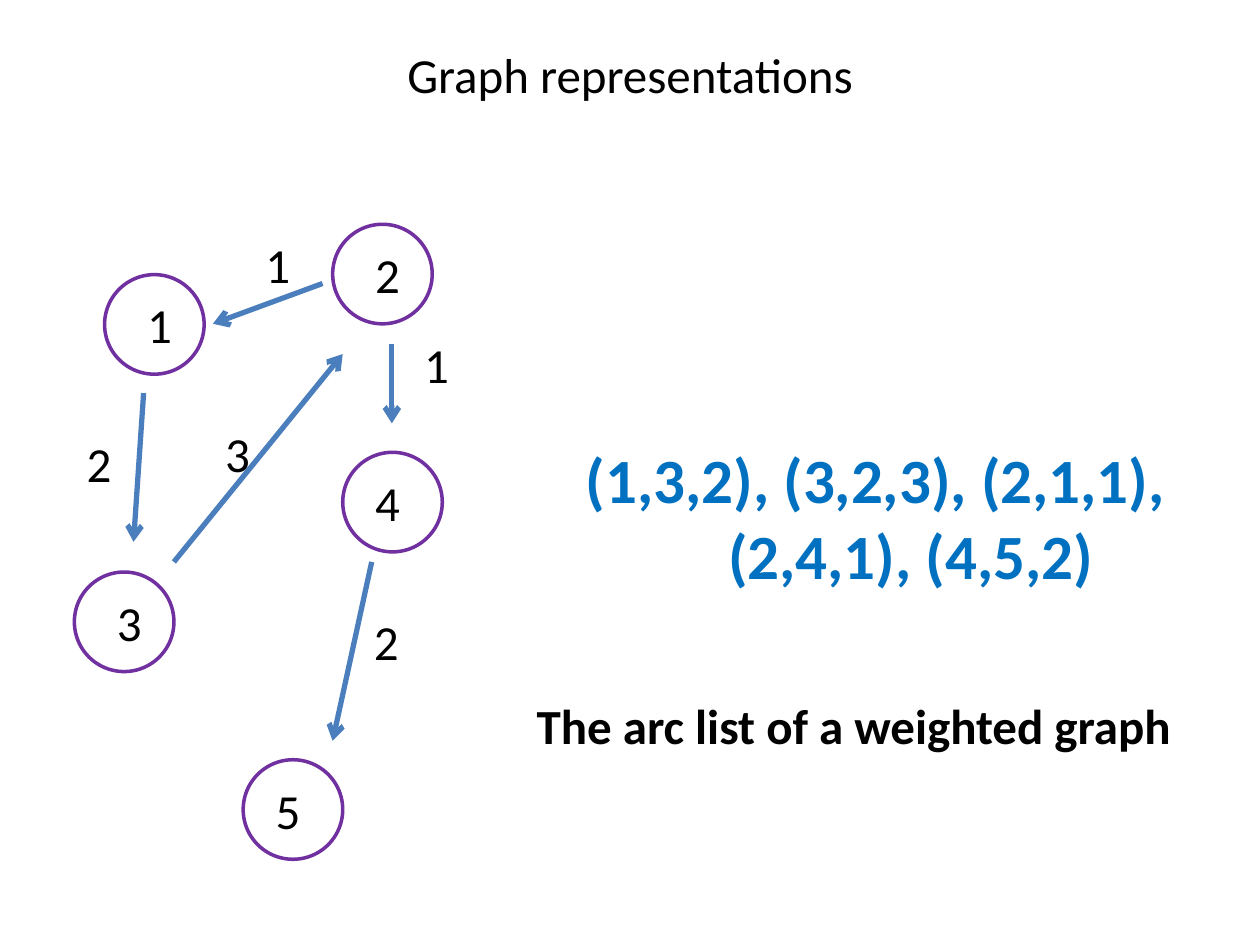
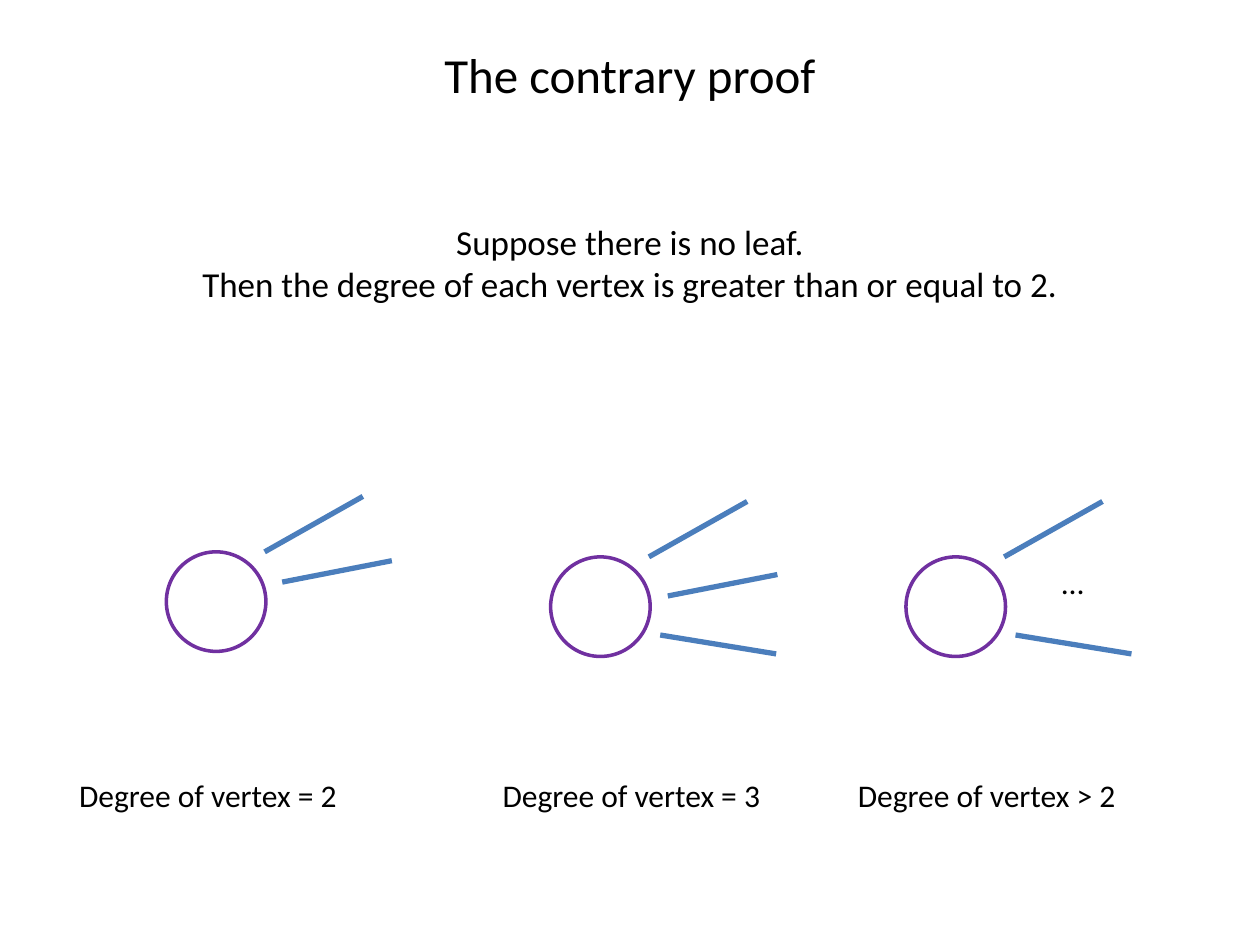
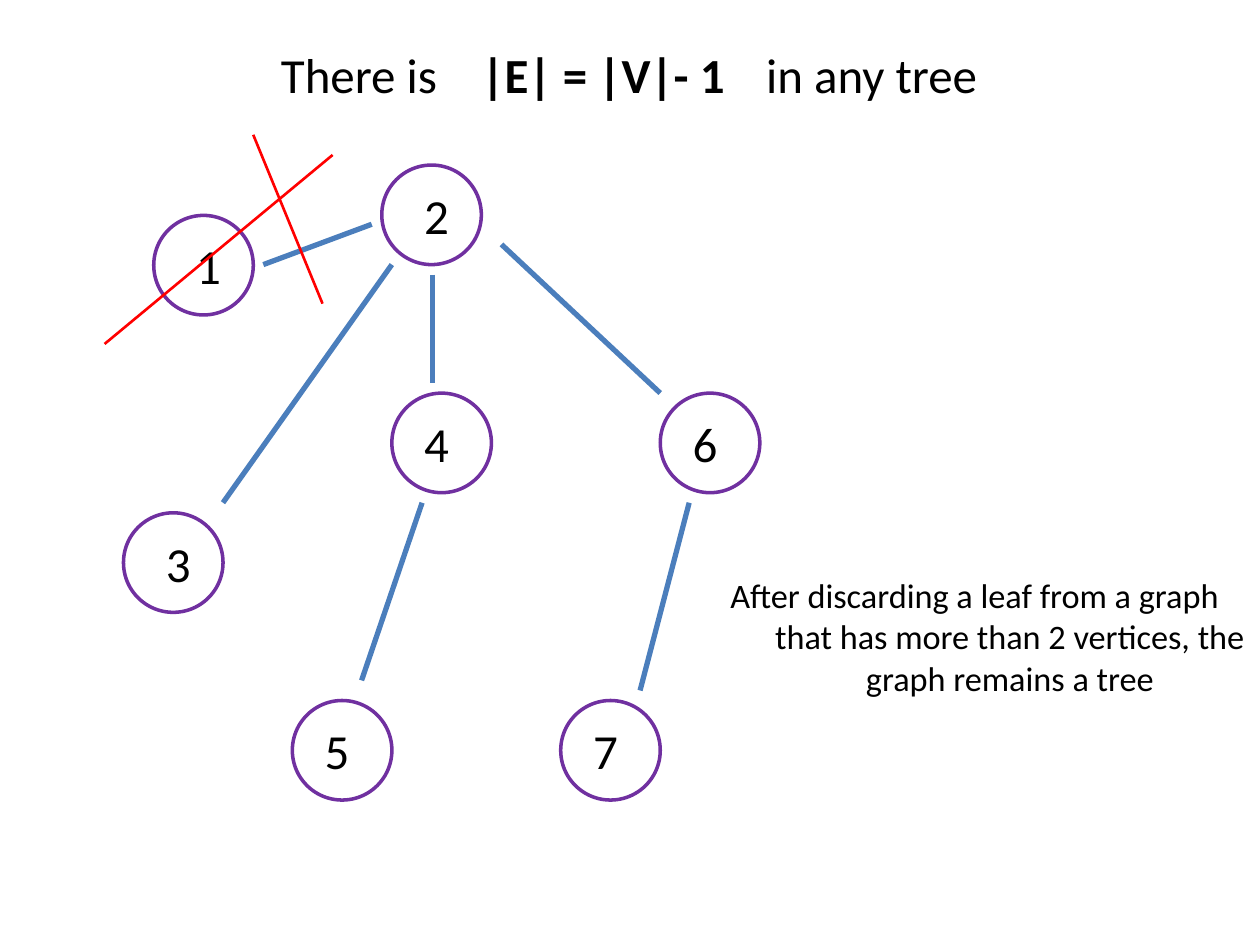
from dataclasses import dataclass
from typing import NamedTuple

from lxml.etree import SubElement
from pptx import Presentation
from pptx.dml.color import RGBColor
from pptx.enum.shapes import MSO_CONNECTOR, MSO_SHAPE
from pptx.enum.text import MSO_ANCHOR, MSO_AUTO_SIZE, PP_ALIGN
from pptx.oxml.ns import qn
from pptx.shapes.base import BaseShape
from pptx.slide import Slide
from pptx.text.text import TextFrame
from pptx.util import Inches, Pt


@dataclass(frozen=True)
class Theme:
    font: str = "Calibri"
    ink: str = "000000"
    paper: str = "FFFFFF"
    ring: str = "7030A0"
    edge: str = "4B7EBC"
    accent: str = "0070C0"
    strike: str = "FF0000"
    title_size: float = 28
    arcs_size: float = 36
    text_size: float = 20
    remark_size: float = 19.6
    caption_size: float = 18
    ring_width: float = 2
    edge_width: float = 3
    strike_width: float = 1.5


THEME = Theme()
DIAMETER = 0.79
HANGING_INDENT = 0.56


class Area(NamedTuple):
    left: float
    top: float
    width: float
    height: float


class Vertex(NamedTuple):
    label: str
    left: float
    top: float
    label_shift: float


class Line(NamedTuple):
    start_x: float
    start_y: float
    end_x: float
    end_y: float

    def moved(self, x: float, y: float) -> "Line":
        return Line(self.start_x + x, self.start_y + y, self.end_x + x, self.end_y + y)


class Weight(NamedTuple):
    label: str
    left: float
    top: float


class Fan(NamedTuple):
    caption: str
    left: float
    top: float
    caption_left: float
    rays: tuple[Line, ...]


TITLE_AREA = Area(0, 0, 10, 1.18)

VERTICES = [
    Vertex("1", 0.83, 2.18, 0.24),
    Vertex("2", 2.64, 1.78, 0.24),
    Vertex("3", 0.59, 4.54, 0.24),
    Vertex("4", 2.72, 3.59, 0.16),
    Vertex("5", 1.93, 6.03, 0.16),
]
ARCS = [
    Line(2.56, 2.25, 1.69, 2.57),
    Line(1.14, 3.12, 1.06, 4.3),
    Line(1.38, 4.46, 2.72, 2.81),
    Line(3.11, 2.73, 3.11, 3.36),
    Line(2.95, 4.46, 2.64, 5.88),
]
WEIGHTS = [
    Weight("1", 2.01, 1.78),
    Weight("3", 1.69, 3.28),
    Weight("2", 0.59, 3.36),
    Weight("1", 3.27, 2.57),
    Weight("2", 2.87, 4.77),
]

TREE_SHIFT = (0.39, -0.47)
TREE_VERTICES = [
    vertex._replace(left=vertex.left + TREE_SHIFT[0], top=vertex.top + TREE_SHIFT[1])
    for vertex in VERTICES
] + [Vertex("6", 5.24, 3.12, 0.16), Vertex("7", 4.45, 5.56, 0.16)]
TREE_EDGES = [
    Line(2.95, 1.78, 2.09, 2.1),
    Line(1.77, 3.99, 3.11, 2.1),
    Line(3.43, 2.18, 3.43, 3.04),
    Line(3.35, 3.99, 2.87, 5.4),
    Line(5.47, 3.99, 5.08, 5.48),
    Line(3.98, 1.94, 5.24, 3.12),
]
STRIKES = [Line(2.01, 1.07, 2.56, 2.41), Line(2.64, 1.23, 0.83, 2.73)]

UPPER_RAY = Line(0.78, 0, 1.56, -0.44)
MIDDLE_RAY = Line(0.93, 0.31, 1.8, 0.14)
LOWER_RAY = Line(0.87, 0.62, 1.79, 0.77)
FANS = [
    Fan("Degree of vertex = 2", 1.32, 4.38, 0.53, (UPPER_RAY, MIDDLE_RAY.moved(-0.01, -0.07))),
    Fan("Degree of vertex = 3", 4.37, 4.42, 3.89, (UPPER_RAY, MIDDLE_RAY, LOWER_RAY)),
    Fan("Degree of vertex > 2", 7.19, 4.42, 6.71, (UPPER_RAY, LOWER_RAY)),
]


def place(shape: BaseShape, area: Area) -> None:
    shape.left, shape.top, shape.width, shape.height = map(Inches, area)


def format_text(frame: TextFrame, size: float, color: str = THEME.ink, bold: bool = False,
                align: PP_ALIGN = PP_ALIGN.CENTER) -> None:
    for para in frame.paragraphs:
        para.alignment = align
        para.space_before = Pt(0)
        for span in para.runs:
            span.font.name = THEME.font
            span.font.size = Pt(size)
            span.font.bold = bold
            span.font.color.rgb = RGBColor.from_string(color)


def add_page(deck: Presentation, title: str) -> Slide:
    page = deck.slides.add_slide(deck.slide_layouts[1])
    heading = page.shapes.title
    place(heading, TITLE_AREA)
    frame = heading.text_frame
    frame.text = title
    frame.auto_size = MSO_AUTO_SIZE.NONE
    frame.vertical_anchor = MSO_ANCHOR.MIDDLE
    format_text(frame, THEME.title_size)
    return page


def fill_body(page: Slide, text: str, area: Area, size: float, color: str = THEME.ink,
              bold: bool = False, anchor: MSO_ANCHOR = MSO_ANCHOR.MIDDLE) -> None:
    body = page.placeholders[1]
    place(body, area)
    frame = body.text_frame
    frame.text = text
    frame.auto_size = MSO_AUTO_SIZE.NONE
    frame.vertical_anchor = anchor
    for para in frame.paragraphs:
        properties = para._p.get_or_add_pPr()
        properties.set("marL", str(Inches(HANGING_INDENT)))
        properties.set("indent", str(-Inches(HANGING_INDENT)))
        SubElement(properties, qn("a:buNone"))
    format_text(frame, size, color, bold)


def add_text(page: Slide, text: str, area: Area, size: float, bold: bool = False,
             align: PP_ALIGN = PP_ALIGN.CENTER, anchor: MSO_ANCHOR = MSO_ANCHOR.MIDDLE) -> TextFrame:
    frame = page.shapes.add_textbox(*map(Inches, area)).text_frame
    frame.text = text
    frame.vertical_anchor = anchor
    format_text(frame, size, bold=bold, align=align)
    return frame


def add_number(page: Slide, label: str, left: float, top: float) -> None:
    frame = add_text(page, label, Area(left, top, 0.39, 0.63), THEME.title_size)
    frame.margin_left = frame.margin_right = 0
    frame.word_wrap = True


def add_caption(page: Slide, text: str, left: float, top: float, width: float) -> None:
    add_text(page, text, Area(left, top, width, 0.4), THEME.caption_size,
             align=PP_ALIGN.LEFT, anchor=MSO_ANCHOR.TOP)


def add_ring(page: Slide, left: float, top: float) -> None:
    area = Area(left, top, DIAMETER, DIAMETER)
    ring = page.shapes.add_shape(MSO_SHAPE.OVAL, *map(Inches, area))
    ring.shadow.inherit = False
    ring.fill.solid()
    ring.fill.fore_color.rgb = RGBColor.from_string(THEME.paper)
    ring.line.color.rgb = RGBColor.from_string(THEME.ring)
    ring.line.width = Pt(THEME.ring_width)


def add_vertex(page: Slide, vertex: Vertex) -> None:
    add_ring(page, vertex.left, vertex.top)
    add_number(page, vertex.label, vertex.left + vertex.label_shift, vertex.top + 0.08)


def add_line(page: Slide, line: Line, color: str = THEME.edge,
             width: float = THEME.edge_width, arrow: bool = False) -> None:
    connector = page.shapes.add_connector(MSO_CONNECTOR.STRAIGHT, *map(Inches, line))
    connector.line.color.rgb = RGBColor.from_string(color)
    connector.line.width = Pt(width)
    if arrow:
        SubElement(connector.line._get_or_add_ln(), qn("a:tailEnd"), type="arrow")
    SubElement(connector._element.spPr, qn("a:effectLst"))


def build_representations(deck: Presentation) -> None:
    page = add_page(deck, "Graph representations")
    fill_body(page, "(1,3,2), (3,2,3), (2,1,1), (2,4,1), (4,5,2)",
              Area(3.9, 3.51, 6.1, 1.18), THEME.arcs_size, THEME.accent, bold=True)
    add_text(page, "The arc list of a weighted graph", Area(4.06, 5.47, 5.43, 0.57),
             THEME.title_size, bold=True)
    for vertex in VERTICES:
        add_vertex(page, vertex)
    for arc in ARCS:
        add_line(page, arc, arrow=True)
    for weight in WEIGHTS:
        add_number(page, *weight)


def build_proof(deck: Presentation) -> None:
    page = add_page(deck, "The contrary proof")
    fill_body(page, "Suppose there is no leaf.\n"
              "Then the degree of each vertex is greater than or equal to 2.",
              Area(0, 1.7, 10, 5.8), THEME.text_size, anchor=MSO_ANCHOR.TOP)
    for fan in FANS:
        add_ring(page, fan.left, fan.top)
        for ray in fan.rays:
            add_line(page, ray.moved(fan.left, fan.top))
        add_caption(page, fan.caption, fan.caption_left, 6.11, 2.27)
    add_caption(page, "…", 8.33, 4.42, 0.38)


def build_tree(deck: Presentation) -> None:
    page = add_page(deck, "There is\t")
    frame = page.shapes.title.text_frame
    frame.margin_left = Inches(2.23)
    para = frame.paragraphs[0]
    tabs = SubElement(para._p.get_or_add_pPr(), qn("a:tabLst"))
    for stop in (1.59, 3.85):
        SubElement(tabs, qn("a:tab"), pos=str(Inches(stop)), algn="l")
    for text in ("|E| = |V|- 1", "\tin any tree"):
        para.add_run().text = text
    format_text(frame, THEME.title_size, align=PP_ALIGN.LEFT)
    para.runs[1].font.bold = True
    fill_body(page, "After discarding a leaf from a graph that has more than 2 vertices, "
              "the graph remains a tree", Area(5.47, 4.46, 4.53, 1.18), THEME.remark_size)
    for vertex in TREE_VERTICES:
        add_vertex(page, vertex)
    for edge in TREE_EDGES:
        add_line(page, edge)
    for strike in STRIKES:
        add_line(page, strike, THEME.strike, THEME.strike_width)


def main() -> None:
    deck = Presentation()
    deck.slide_width, deck.slide_height = Inches(10), Inches(7.5)
    build_representations(deck)
    build_proof(deck)
    build_tree(deck)
    deck.save("out.pptx")


if __name__ == "__main__":
    main()
